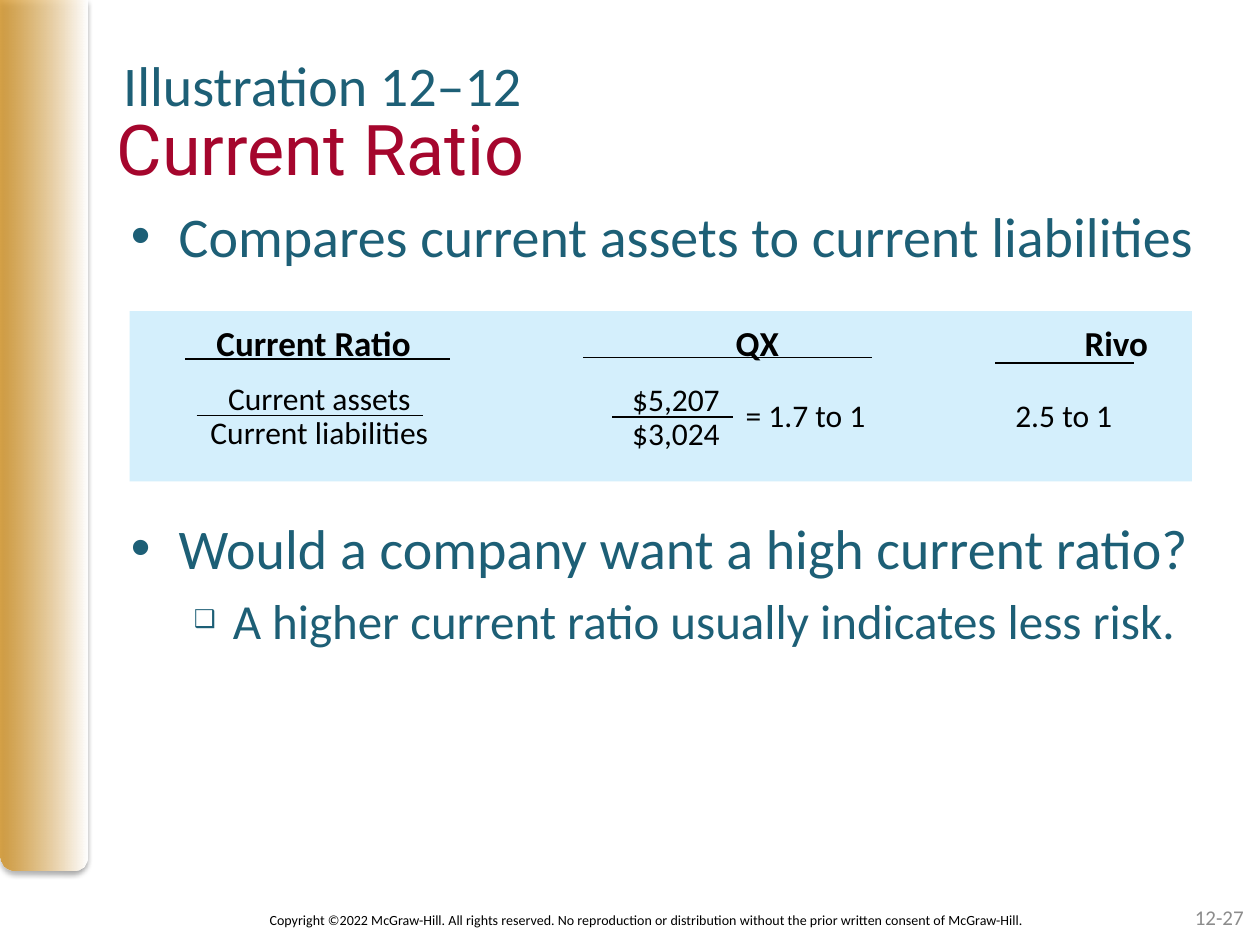
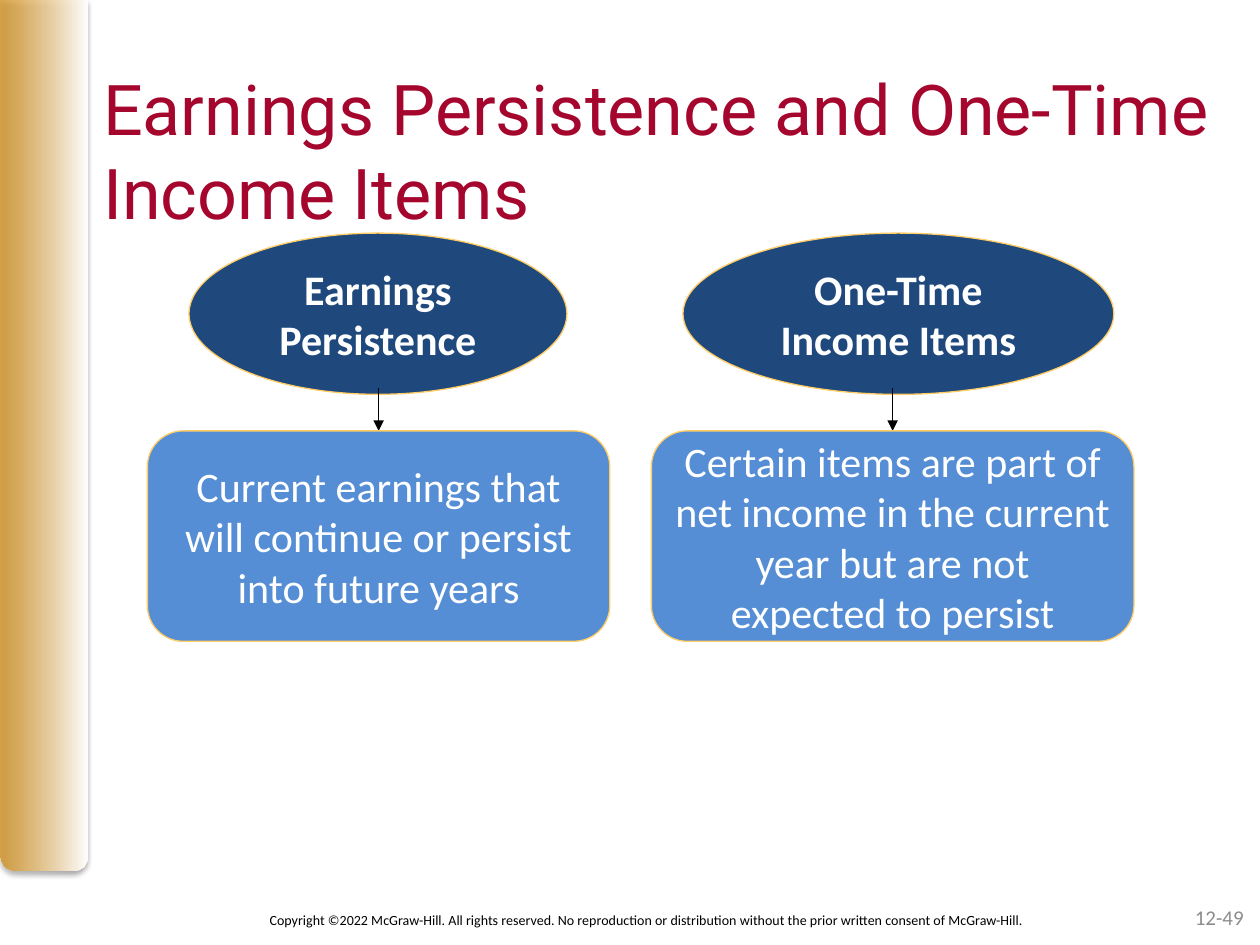
from dataclasses import dataclass

from lxml import etree
from pptx import Presentation
from pptx.dml.color import RGBColor
from pptx.enum.shapes import MSO_CONNECTOR, MSO_SHAPE
from pptx.enum.text import MSO_ANCHOR, PP_ALIGN
from pptx.oxml.ns import qn
from pptx.util import Inches, Pt

LEFT, CENTER, RIGHT = PP_ALIGN.LEFT, PP_ALIGN.CENTER, PP_ALIGN.RIGHT
TOP, MIDDLE = MSO_ANCHOR.TOP, MSO_ANCHOR.MIDDLE
STRAIGHT = MSO_CONNECTOR.STRAIGHT
RECTANGLE, ELLIPSE = MSO_SHAPE.RECTANGLE, MSO_SHAPE.OVAL
ROUNDED, ROUNDED_PAIR = MSO_SHAPE.ROUNDED_RECTANGLE, MSO_SHAPE.ROUND_2_SAME_RECTANGLE

# Grid: 100 columns by 75 rows of square cells
COLUMNS, ROWS = 100, 75
CELL = Inches(0.1)

BODY_FONT, TITLE_FONT = "Calibri", "Roboto"
BLACK, WHITE, GREY = "000000", "FFFFFF", "8C8C8C"
CRIMSON, TEAL, GOLD, OUTLINE = "A5062D", "1D5F76", "D49323", "FFCC66"
PALE_BLUE, MID_BLUE, NAVY = "D4EFFC", "558ED5", "1F497D"
COPYRIGHT = ("Copyright ©2022 McGraw-Hill. All rights reserved. No reproduction or "
             "distribution without the prior written consent of McGraw-Hill.")


@dataclass
class Box:
    column: float
    row: float
    columns: float
    rows: float

    def inner(self, column, row, columns, rows):
        return Box(self.column + column, self.row + row, columns, rows)

    def place(self):
        return [cells(value) for value in (self.column, self.row, self.columns, self.rows)]


def cells(count):
    return round(count * CELL)


def color(hex_code):
    return RGBColor.from_string(hex_code)


def add_child(parent, tag, **attributes):
    child = etree.SubElement(parent, qn(tag))
    for name, value in attributes.items():
        child.set(name, str(value))
    return child


def add_bullet(paragraph, character, margin, hanging, size=100):
    properties = paragraph._p.get_or_add_pPr()
    properties.set("marL", str(Inches(margin)))
    properties.set("indent", str(-Inches(hanging)))
    add_child(properties, "a:buSzPct", val=size * 1000)
    add_child(properties, "a:buFont", typeface="Arial")
    add_child(properties, "a:buChar", char=character)


def write(frame, text, size=18, hex_code=BLACK, font=BODY_FONT, bold=False, align=LEFT,
          anchor=TOP, line_spacing=None):
    """Fill a text frame, one paragraph for each line of the text."""
    frame.word_wrap = True
    frame.vertical_anchor = anchor
    for index, line in enumerate(text.split("\n")):
        paragraph = frame.add_paragraph() if index else frame.paragraphs[0]
        paragraph.alignment = align
        if line_spacing:
            paragraph.line_spacing = line_spacing
        run = paragraph.add_run()
        run.text = line
        run.font.name, run.font.size, run.font.bold = font, Pt(size), bold
        run.font.color.rgb = color(hex_code)


def add_text(slide, box, text, **text_format):
    frame = slide.shapes.add_textbox(*box.place()).text_frame
    write(frame, text, **text_format)
    return frame


def add_shape(slide, kind, box, fill=None, line=None):
    shape = slide.shapes.add_shape(kind, *box.place())
    shape.shadow.inherit = False
    if fill:
        shape.fill.solid()
        shape.fill.fore_color.rgb = color(fill)
    if line:
        shape.line.color.rgb = color(line)
        shape.line.width = Pt(0.75)
    else:
        shape.line.fill.background()
    return shape


def add_line(slide, box):
    """Draw a straight line from the box's top left to its bottom right."""
    left, top, width, height = box.place()
    line = slide.shapes.add_connector(STRAIGHT, left, top, left + width, top + height)
    line.line.color.rgb = color(BLACK)
    line.line.width = Pt(0.75)
    add_child(line._element.spPr, "a:effectLst")
    return line


def add_side_band(slide, box):
    band = add_shape(slide, ROUNDED_PAIR, box)
    band.adjustments[0], band.adjustments[1] = 0, 0.17
    band.fill.gradient()
    band.fill.gradient_angle = 0
    for stop, hex_code in zip(band.fill.gradient_stops, (GOLD, WHITE)):
        stop.color.rgb = color(hex_code)
    properties = band._element.spPr
    add_child(properties.find(".//" + qn("a:srgbClr")), "a:alpha", val=80000)
    shadow = add_child(properties.find(qn("a:effectLst")), "a:outerShdw", blurRad=Pt(3.1),
                       dist=Pt(1.8), dir=5400000, rotWithShape=0)
    add_child(add_child(shadow, "a:srgbClr", val=BLACK), "a:alpha", val=35000)


def add_footer(slide, box, number):
    add_text(slide, box.inner(0, 0.2, 71.5, 4), COPYRIGHT, size=8, align=CENTER, anchor=MIDDLE)
    add_text(slide, box.inner(60.8, 0, 23.3, 4), number, size=12, hex_code=GREY,
             align=RIGHT, anchor=MIDDLE)


def add_base_slide(presentation, title, title_box, number):
    """Add a slide with the band, title and footer that all slides share."""
    slide = presentation.slides.add_slide(presentation.slide_layouts[6])
    add_side_band(slide, Box(0, 0, 6.9, 69.1))
    add_text(slide, title_box, title, size=40, hex_code=CRIMSON, font=TITLE_FONT)
    add_footer(slide, Box(15.6, 70.8, 84.1, 4), number)
    return slide


def add_body(slide, box):
    frame = add_text(slide, box, "Compares current assets to current liabilities\n"
                     "Would a company want a high current ratio?\n"
                     "A higher current ratio usually indicates less risk.",
                     size=32, hex_code=TEAL)
    comparison, question, answer = frame.paragraphs
    # The space before the question leaves room for the ratio panel
    question.space_before, answer.space_before = Pt(140), Pt(5.2)
    for paragraph in (comparison, question):
        add_bullet(paragraph, "•", 0.38, 0.38)
    add_bullet(answer, "❑", 0.81, 0.31, size=50)
    answer.runs[0].font.size = Pt(28)


def add_fraction(slide, box, terms, bar_start, bar_length):
    add_text(slide, box, terms, align=CENTER, line_spacing=0.9)
    add_line(slide, box.inner(bar_start, 3.1, bar_length, 0))


def add_ratio_panel(slide, box):
    add_shape(slide, RECTANGLE, box, PALE_BLUE)
    # Column heads: text, text start, rule start, rule row, rule length
    heads = [("Current Ratio", 5.9, 4.4, 3.8, 21),
             ("QX", 47.1, 36, 3.7, 22.9),
             ("Rivo", 74.8, 68.7, 4.1, 11)]
    for head, start, rule_start, rule_row, rule_length in heads:
        add_text(slide, box.inner(start, 1, 20 if start < 70 else 9, 3.8), head,
                 size=20, bold=True, line_spacing=0.8)
        add_line(slide, box.inner(rule_start, rule_row, rule_length, 0))
    # Fractions and results
    add_fraction(slide, box.inner(-0.5, 5.2, 31.1, 6.5),
                 "Current assets\nCurrent liabilities", 5.8, 18)
    add_fraction(slide, box.inner(27.8, 5.3, 31.1, 6.5), "$5,207\n$3,024", 10.5, 9.6)
    for result, start in (("= 1.7 to 1", 47.9), ("2.5 to 1", 69.3)):
        add_text(slide, box.inner(start, 6.2, 14, 4), result)


def add_definition(slide, box, term, meaning, term_start, term_columns):
    """Place a term in an ellipse with an arrow down to its meaning."""
    ellipse = add_shape(slide, ELLIPSE, box.inner(term_start, 0, term_columns, 12.8),
                        NAVY, OUTLINE)
    write(ellipse.text_frame, term, size=24, hex_code=WHITE, bold=True, align=CENTER,
          anchor=MIDDLE)
    arrow = add_line(slide, box.inner(box.columns / 2, 12.3, 0, 3.4))
    add_child(arrow.line._get_or_add_ln(), "a:tailEnd", type="triangle")
    panel = add_shape(slide, ROUNDED, box.inner(0, 15.7, box.columns, 16.7),
                      MID_BLUE, OUTLINE)
    panel.adjustments[0] = 0.17
    write(panel.text_frame, meaning, size=24, hex_code=WHITE, align=CENTER, anchor=MIDDLE)
    arrow.end_connect(panel, 0)


def add_ratio_slide(presentation):
    slide = add_base_slide(presentation, "Current Ratio", Box(8.3, 7.9, 90, 12.5), "12-27")
    add_text(slide, Box(8.8, 3.5, 53.7, 4.4), "Illustration 12–12", size=32, hex_code=TEAL)
    add_body(slide, Box(9.4, 15.5, 87, 49.5))
    add_ratio_panel(slide, Box(10.3, 24.7, 84.3, 13.5))


def add_persistence_slide(presentation):
    slide = add_base_slide(presentation, "Earnings Persistence and One-Time Income Items",
                           Box(7.2, 4.7, 92.5, 13.8), "12-49")
    add_definition(slide, Box(11.7, 18.5, 36.7, 32.4), "Earnings Persistence",
                   "Current earnings that will continue or persist into future years",
                   3.3, 30)
    add_definition(slide, Box(51.7, 18.5, 38.3, 32.4), "One-Time Income Items",
                   "Certain items are part of net income in the current year "
                   "but are not expected to persist", 2.5, 34.2)


def main():
    presentation = Presentation()
    presentation.slide_width, presentation.slide_height = cells(COLUMNS), cells(ROWS)
    add_ratio_slide(presentation)
    add_persistence_slide(presentation)
    presentation.save("out.pptx")


if __name__ == "__main__":
    main()
